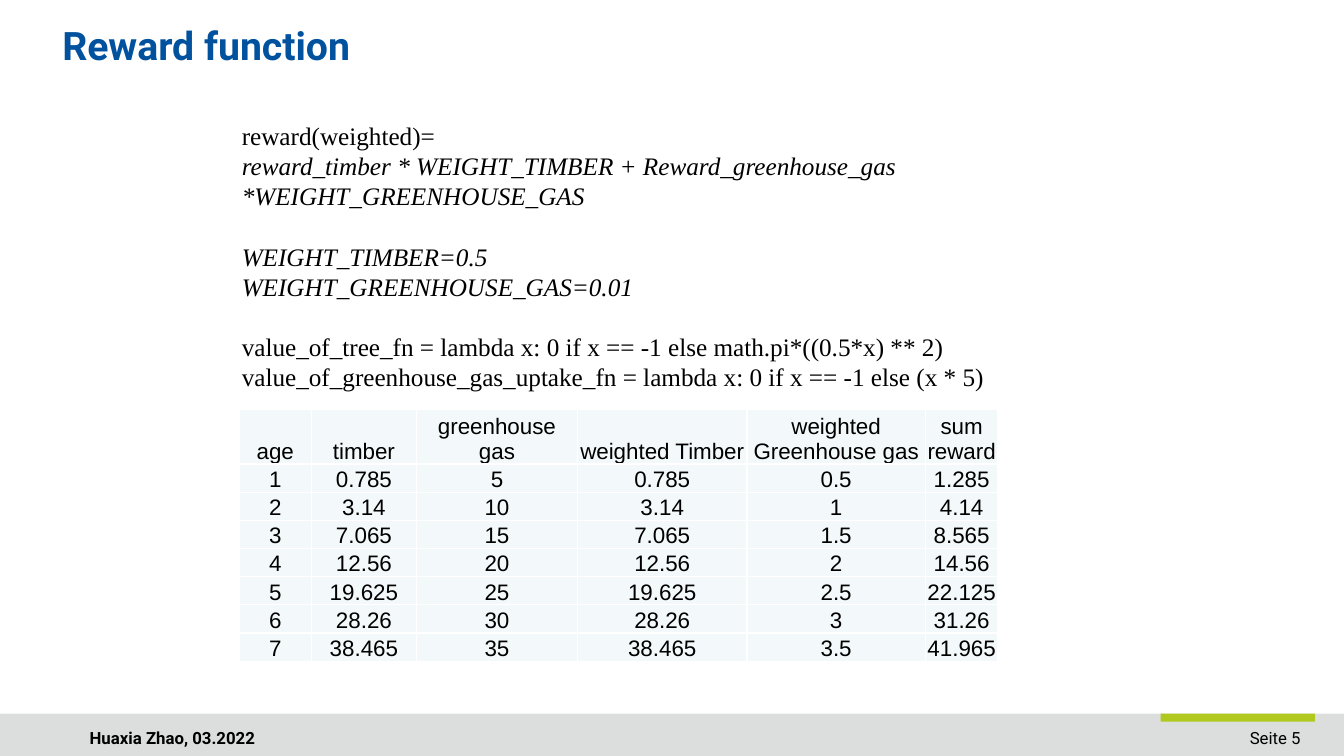
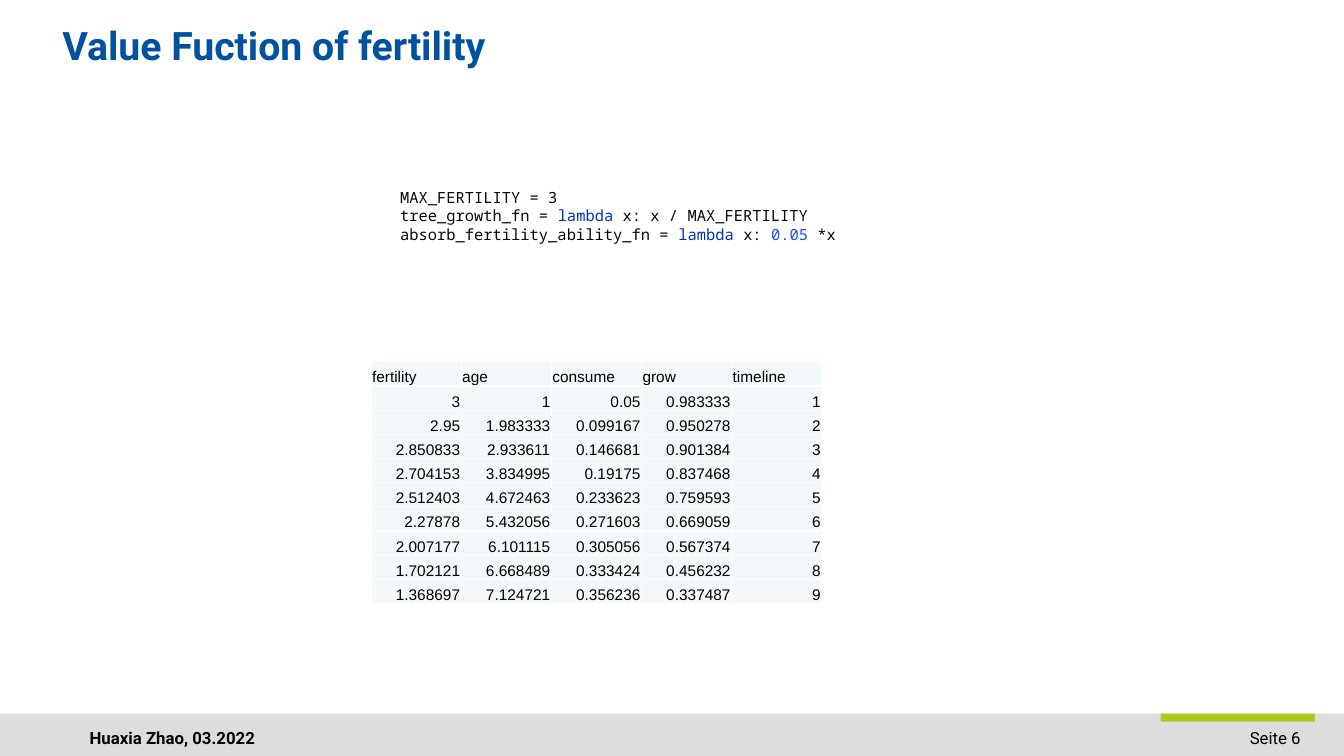
from lxml.etree import SubElement
from pptx import Presentation
from pptx.dml.color import RGBColor
from pptx.enum.shapes import MSO_SHAPE
from pptx.enum.text import MSO_ANCHOR, PP_ALIGN
from pptx.oxml.ns import qn
from pptx.util import Inches, Pt

COLORS = {
    "white": "FFFFFF", "black": "000000", "title": "00519E", "band": "DCDEDE",
    "accent": "B1C91F", "cell": "F3F9FA", "code": "080808",
    "keyword": "0033B3", "number": "1750EB",
}
WIDTH, HEIGHT = Inches(13.33), Inches(7.5)
AUTHOR = "Huaxia Zhao, 03.2022"

REWARD_LINES = [
    ("reward(weighted)=", False, False),
    ("reward_timber * WEIGHT_TIMBER + Reward_greenhouse_gas *WEIGHT_GREENHOUSE_GAS", True, False),
    ("WEIGHT_TIMBER=0.5", True, True),
    ("WEIGHT_GREENHOUSE_GAS=0.01", True, False),
    ("value_of_tree_fn = lambda x: 0 if x == -1 else math.pi*((0.5*x) ** 2) "
     "value_of_greenhouse_gas_uptake_fn = lambda x: 0 if x == -1 else (x * 5)", False, True),
]
REWARD_ROWS = [
    ("age", "timber", "greenhouse gas", "weighted Timber", "weighted Greenhouse gas", "sum reward"),
    ("1", "0.785", "5", "0.785", "0.5", "1.285"),
    ("2", "3.14", "10", "3.14", "1", "4.14"),
    ("3", "7.065", "15", "7.065", "1.5", "8.565"),
    ("4", "12.56", "20", "12.56", "2", "14.56"),
    ("5", "19.625", "25", "19.625", "2.5", "22.125"),
    ("6", "28.26", "30", "28.26", "3", "31.26"),
    ("7", "38.465", "35", "38.465", "3.5", "41.965"),
]
FERTILITY_CODE = [
    [("MAX_FERTILITY = 3", "code")],
    [("tree_growth_fn = ", "code"), ("lambda ", "keyword"), ("x: x / MAX_FERTILITY", "code")],
    [("absorb_fertility_ability_fn = ", "code"), ("lambda ", "keyword"), ("x: ", "code"),
     ("0.05 ", "number"), ("*x", "code")],
]
FERTILITY_ROWS = [
    ("fertility", "age", "consume", "grow", "timeline"),
    ("3", "1", "0.05", "0.983333", "1"),
    ("2.95", "1.983333", "0.099167", "0.950278", "2"),
    ("2.850833", "2.933611", "0.146681", "0.901384", "3"),
    ("2.704153", "3.834995", "0.19175", "0.837468", "4"),
    ("2.512403", "4.672463", "0.233623", "0.759593", "5"),
    ("2.27878", "5.432056", "0.271603", "0.669059", "6"),
    ("2.007177", "6.101115", "0.305056", "0.567374", "7"),
    ("1.702121", "6.668489", "0.333424", "0.456232", "8"),
    ("1.368697", "7.124721", "0.356236", "0.337487", "9"),
]


def rgb(name):
    return RGBColor.from_string(COLORS[name])


def across(percent):
    return int(WIDTH * percent / 100)


def down(percent):
    return int(HEIGHT * percent / 100)


def place(left, top, width, height):
    return across(left), down(top), across(width), down(height)


def style(paragraph, face, size, color="black", bold=False, italic=False, align=PP_ALIGN.LEFT):
    font = paragraph.font
    font.name, font.size, font.bold, font.italic = face, Pt(size), bold, italic
    font.color.rgb = rgb(color)
    paragraph.alignment = align


def add_block(slide, area, color):
    block = slide.shapes.add_shape(MSO_SHAPE.RECTANGLE, *place(*area))
    block.shadow.inherit = False
    block.fill.solid()
    block.fill.fore_color.rgb = rgb(color)
    block.line.fill.background()
    return block


def add_text_frame(slide, area):
    frame = slide.shapes.add_textbox(*place(*area)).text_frame
    frame.word_wrap = True
    return frame


def add_label(slide, area, text, size, **looks):
    label = add_text_frame(slide, area).paragraphs[0]
    label.text = text
    style(label, "Roboto", size, **looks)
    return label


def next_paragraph(frame, index):
    return frame.add_paragraph() if index else frame.paragraphs[0]


def add_formulas(slide, area, lines):
    frame = add_text_frame(slide, area)
    for index, (text, italic, gap) in enumerate(lines):
        formula = next_paragraph(frame, index)
        formula.text = text
        formula.line_spacing = Pt(21.6)
        formula.space_before = Pt(21.6 if gap else 0)
        style(formula, "Times New Roman", 18, italic=italic)


def add_code(slide, area, lines):
    frame = add_block(slide, area, "white").text_frame
    frame.word_wrap = True
    frame.vertical_anchor = MSO_ANCHOR.MIDDLE
    for index, tokens in enumerate(lines):
        statement = next_paragraph(frame, index)
        statement.line_spacing = Pt(13.2)
        style(statement, "Noto Sans Mono", 11, "code")
        for text, color in tokens:
            token = statement.add_run()
            token.text = text
            token.font.color.rgb = rgb(color)


def add_borders(cell):
    properties = cell._tc.get_or_add_tcPr()
    for position, side in enumerate(("a:lnL", "a:lnR", "a:lnT", "a:lnB")):
        border = SubElement(properties, qn(side), w=str(Pt(1)))
        fill = SubElement(border, qn("a:solidFill"))
        SubElement(fill, qn("a:srgbClr"), val=COLORS["white"])
        properties.insert(position, border)


def add_grid(slide, left, top, columns, row_heights, rows, size, header_align, body_align):
    area = place(left, top, sum(columns), sum(row_heights))
    table = slide.shapes.add_table(len(rows), len(columns), *area).table
    table.first_row = table.horz_banding = False
    for column, width in zip(table.columns, columns):
        column.width = across(width)
    for r, (values, height) in enumerate(zip(rows, row_heights)):
        table.rows[r].height = down(height)
        for c, value in enumerate(values):
            cell = table.cell(r, c)
            cell.text = value
            cell.vertical_anchor = MSO_ANCHOR.BOTTOM
            cell.margin_left = cell.margin_right = cell.margin_top = Inches(0.01)
            cell.margin_bottom = 0
            cell.fill.solid()
            cell.fill.fore_color.rgb = rgb("cell")
            add_borders(cell)
            style(cell.text_frame.paragraphs[0], "Arial", size,
                  align=body_align if r else header_align)


def add_page(deck, title, number):
    slide = deck.slides.add_slide(deck.slide_layouts[6])
    add_block(slide, (0, 94.4, 100, 5.6), "band")
    add_label(slide, (77.94, 95.6, 19.58, 4.4), f"Seite {number}", 12, align=PP_ALIGN.RIGHT)
    add_block(slide, (86.35, 94.4, 11.48, 1.07), "accent")
    heading = add_label(slide, (3.9, 3.33, 80.87, 12.13), title, 28, color="title", bold=True)
    heading.line_spacing = 0.8
    add_label(slide, (5.93, 95.6, 72.84, 4.4), AUTHOR, 12, bold=True)
    return slide


def main():
    deck = Presentation()
    deck.slide_width, deck.slide_height = WIDTH, HEIGHT

    reward = add_page(deck, "Reward function", 5)
    add_formulas(reward, (17.25, 15.2, 61.37, 37.73), REWARD_LINES)
    add_grid(reward, 17.78, 54.13, [5.4, 7.8, 12, 12.6, 13.28, 5.4], [6.93] + [3.73] * 7,
             REWARD_ROWS, 16, PP_ALIGN.CENTER, PP_ALIGN.CENTER)

    fertility = add_page(deck, "Value Fuction of fertility", 6)
    add_grid(fertility, 27.61, 47.87, [6.71] * 5, [3.2] * 10,
             FERTILITY_ROWS, 11, PP_ALIGN.LEFT, PP_ALIGN.RIGHT)
    add_code(fertility, (29.03, 24.13, 57.09, 8.8), FERTILITY_CODE)

    deck.save("out.pptx")


main()
